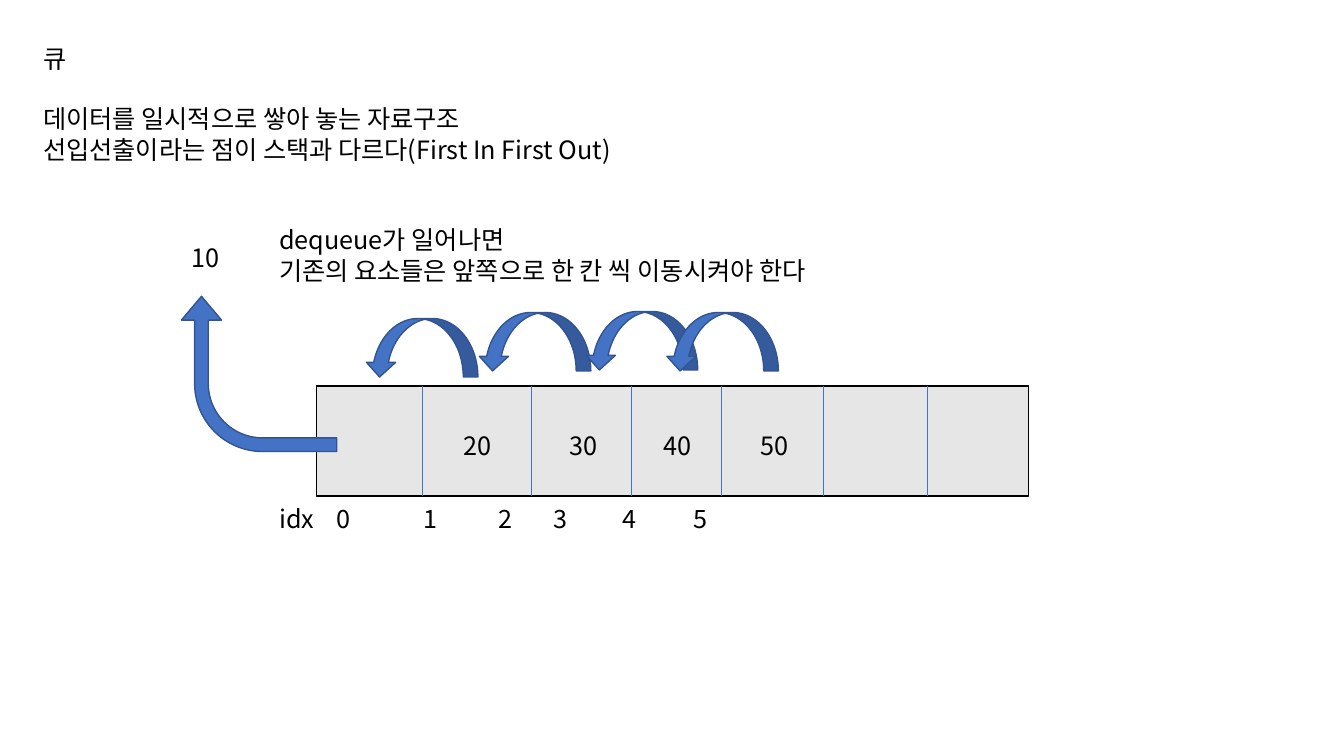
from lxml import etree
from pptx import Presentation
from pptx import util as u
from pptx.dml.color import RGBColor
from pptx.enum import shapes, text
from pptx.oxml.ns import qn

FONT = "Noto Sans CJK KR"
BLUE, DARK_BLUE, GREY, BLACK = "4472C4", "325491", "E7E6E6", "000000"

deck = Presentation()
deck.slide_width, deck.slide_height = u.Inches(13.33), u.Inches(7.5)
page = deck.slides.add_slide(deck.slide_layouts.get_by_name("Title Only"))


def write(box, lines, align=text.PP_ALIGN.LEFT):
    frame = box.text_frame
    frame.word_wrap = True
    frame.vertical_anchor = text.MSO_ANCHOR.TOP
    frame.auto_size = text.MSO_AUTO_SIZE.SHAPE_TO_FIT_TEXT
    frame.text = "\n".join(lines)
    for para in frame.paragraphs:
        para.alignment = align
        para.font.name, para.font.size = FONT, u.Pt(18)
        para.font.color.rgb = RGBColor.from_string(BLACK)
        latin = para.font._element.find(qn("a:latin"))
        latin.addnext(latin.makeelement(qn("a:ea"), {"typeface": FONT}))


def draw(kind, left, top, width, height, fill, line):
    shape = page.shapes.add_shape(kind, *map(u.Inches, (left, top, width, height)))
    shape.shadow.inherit = False
    shape.fill.solid()
    shape.fill.fore_color.rgb = RGBColor.from_string(fill)
    shape.line.color.rgb = RGBColor.from_string(line)
    shape.line.width = u.Pt(1)
    return shape


# Title
title = page.shapes.title
title.left, title.top, title.width, title.height = map(u.Inches, (0.33, 0.38, 7.71, 0.4))
write(title, ["큐"])

# Queue array with its cell dividers
queue_top, queue_height = 3.83, 1.09
draw(shapes.MSO_SHAPE.RECTANGLE, 3.14, queue_top, 7.06, queue_height, GREY, BLACK)
for x in (4.19, 5.27, 6.26, 7.15, 8.17, 9.2):
    divider = page.shapes.add_connector(
        shapes.MSO_CONNECTOR.STRAIGHT, u.Inches(x), u.Inches(queue_top),
        u.Inches(x), u.Inches(queue_top + queue_height))
    divider.line.color.rgb = RGBColor.from_string(BLUE)
    divider.line.width = u.Pt(0.5)
    etree.SubElement(divider._element.spPr, qn("a:effectLst"))

# Explanations
for left, top, width, lines in (
        (0.33, 0.98, 7.71, ["데이터를 일시적으로 쌓아 놓는 자료구조",
                            "선입선출이라는 점이 스택과 다르다(First In First Out)"]),
        (2.67, 2.18, 6.16, ["dequeue가 일어나면",
                            "기존의 요소들은 앞쪽으로 한 칸 씩 이동시켜야 한다"])):
    box = page.shapes.add_textbox(*map(u.Inches, (left, top, width, 0.71)))
    write(box, lines)

# Values: 10 has left the queue, the others are in their cells
for value, left, top in (("10", 1.51, 2.36), ("20", 4.21, 4.22), ("30", 5.26, 4.22),
                         ("40", 6.19, 4.22), ("50", 7.16, 4.22)):
    box = page.shapes.add_textbox(*map(u.Inches, (left, top, 1.05, 0.4)))
    write(box, [value], text.PP_ALIGN.CENTER)

# Index row, spaced by tab stops
index_row = page.shapes.add_textbox(*map(u.Inches, (2.67, 4.94, 7.06, 0.4)))
write(index_row, ["idx\t0\t1\t2\t3\t4\t5"])
properties = index_row.text_frame.paragraphs[0]._p.get_or_add_pPr()
tabs = properties.makeelement(qn("a:tabLst"), {})
properties.insert(0, tabs)
for stop in (0.57, 1.43, 2.18, 2.72, 3.41, 4.11):
    etree.SubElement(tabs, qn("a:tab"), pos=str(u.Inches(stop)), algn="l")

# Arrow taking the first value out
exit_arrow = draw(shapes.MSO_SHAPE.BENT_ARROW, 1.8, 2.94, 1.54, 1.54, BLUE, DARK_BLUE)
for number, share in enumerate((0.088, 0.129, 0.153, 0.438)):
    exit_arrow.adjustments[number] = share
exit_arrow.rotation = 90
exit_arrow._element.spPr.xfrm.set("flipH", "1")
exit_arrow._element.spPr.xfrm.set("flipV", "1")

# Arrows moving each value one cell forward
for left, top in ((3.62, 3.16), (4.74, 3.1), (5.8, 3.09), (6.6, 3.1)):
    shift_arrow = draw(shapes.MSO_SHAPE.CURVED_DOWN_ARROW, left, top, 1.12, 0.58,
                       BLUE, DARK_BLUE)
    shift_arrow._element.spPr.xfrm.set("flipH", "1")

deck.save("out.pptx")
